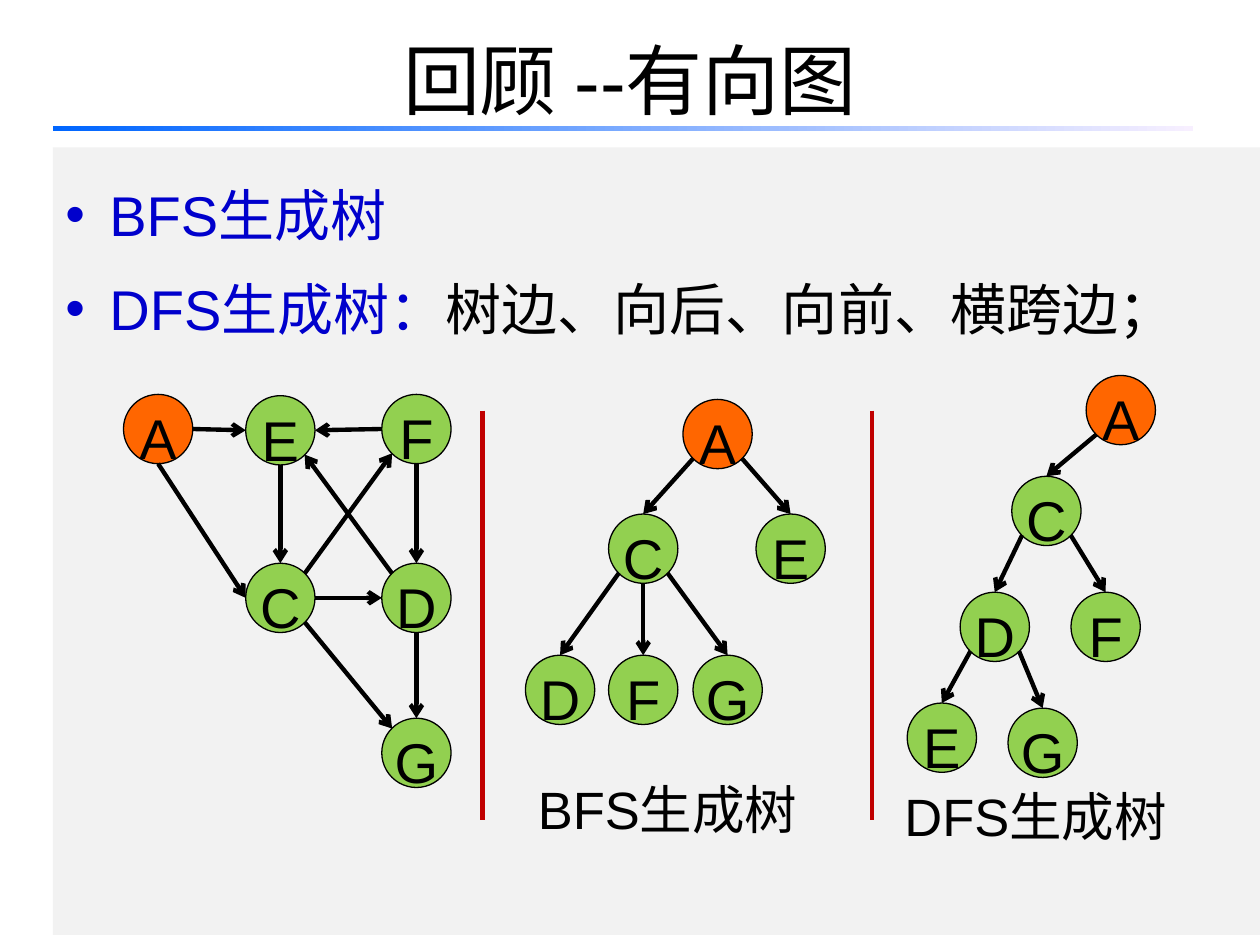
from lxml import etree
from pptx import Presentation
from pptx.dml.color import RGBColor
from pptx.enum.shapes import MSO_CONNECTOR, MSO_SHAPE
from pptx.enum.text import MSO_ANCHOR, PP_ALIGN
from pptx.oxml.ns import qn
from pptx.util import Inches, Pt

LINE = MSO_CONNECTOR.STRAIGHT
OVAL, RECT = MSO_SHAPE.OVAL, MSO_SHAPE.RECTANGLE
LEFT, CENTER = PP_ALIGN.LEFT, PP_ALIGN.CENTER
TOP, MIDDLE = MSO_ANCHOR.TOP, MSO_ANCHOR.MIDDLE

FONT = "Arial"
BLACK, BLUE, RED = "000000", "0000CC", "C00000"
GREEN, ORANGE, GRAY = "92D050", "FF6600", "F2F2F2"
NODE = 0.55

# Points on a node's rim, as fractions of its size
SITES = {"top": (0.5, 0), "left": (0, 0.5), "bottom": (0.5, 1), "right": (1, 0.5),
         "tl": (0.15, 0.15), "tr": (0.85, 0.15), "bl": (0.15, 0.85), "br": (0.85, 0.85)}

# Each graph: node positions, then edges as (from, site, to, site)
GRAPHS = [
    ({"A": (0.98, 3.13), "E": (1.95, 3.14), "F": (3.03, 3.13),
      "C": (1.95, 4.47), "D": (3.03, 4.47), "G": (3.03, 5.7)},
     [("A", "right", "E", "left"), ("A", "bottom", "C", "left"),
      ("F", "left", "E", "right"), ("F", "bottom", "D", "top"),
      ("E", "bottom", "C", "top"), ("C", "right", "D", "left"),
      ("C", "tr", "F", "bl"), ("D", "tl", "E", "br"),
      ("C", "br", "G", "tl"), ("D", "bottom", "G", "top")]),
    ({"A": (5.42, 3.17), "C": (4.83, 4.08), "E": (6, 4.08),
      "D": (4.17, 5.2), "F": (4.83, 5.2), "G": (5.5, 5.2)},
     [("A", "bl", "C", "top"), ("A", "br", "E", "top"), ("C", "bl", "D", "top"),
      ("C", "bottom", "F", "top"), ("C", "br", "G", "top")]),
    ({"A": (8.62, 2.98), "C": (8.03, 3.78), "D": (7.62, 4.7),
      "F": (8.5, 4.7), "E": (7.2, 5.58), "G": (8, 5.62)},
     [("A", "bl", "C", "top"), ("C", "bl", "D", "top"), ("C", "br", "F", "top"),
      ("D", "bl", "E", "top"), ("D", "br", "G", "top")]),
]


def rgb(color):
    return RGBColor.from_string(color)


def set_attrs(obj, values):
    for name, value in values.items():
        setattr(obj, name, value)


def add_run(p, text, size, color=BLACK):
    r = p.add_run()
    r.text = text
    set_attrs(r.font, {"name": FONT, "size": Pt(size)})
    r.font.color.rgb = rgb(color)


def add_shape(s, kind, x, y, w, h, fill=None):
    sp = s.shapes.add_shape(kind, Inches(x), Inches(y), Inches(w), Inches(h))
    sp.shadow.inherit = False
    sp.line.fill.background()
    if fill:
        sp.fill.solid()
        sp.fill.fore_color.rgb = rgb(fill)
    return sp


def add_title(s, text):
    sp = s.shapes.title
    set_attrs(sp, {"left": Inches(0.5), "top": 0, "width": Inches(9), "height": Inches(1.25)})
    sp.text_frame.vertical_anchor = MIDDLE
    p = sp.text_frame.paragraphs[0]
    p.alignment = CENTER
    add_run(p, text, 44)


def add_rule(s):
    sp = add_shape(s, RECT, 0.42, 1, 9.05, 0.04)
    sp.fill.gradient()
    sp.fill.gradient_angle = 0
    for stop, color in zip(sp.fill.gradient_stops, ("0066FF", "F7EFFF")):
        stop.color.rgb = rgb(color)


def add_bullet(p):
    pPr = p._p.get_or_add_pPr()
    pPr.set("marL", str(Inches(0.35)))
    pPr.set("indent", str(-Inches(0.35)))
    for tag, name, value in (("a:buFont", "typeface", FONT), ("a:buChar", "char", "•")):
        etree.SubElement(pPr, qn(tag)).set(name, value)


def add_panel(s, items):
    tf = add_shape(s, RECT, 0.42, 1.17, 9.58, 6.25, GRAY).text_frame
    set_attrs(tf, {"word_wrap": True, "vertical_anchor": TOP})
    for i, runs in enumerate(items):
        p = tf.add_paragraph() if i else tf.paragraphs[0]
        add_bullet(p)
        set_attrs(p, {"alignment": LEFT, "line_spacing": 1.4})
        for text, color in runs:
            add_run(p, text, 32, color)


def add_caption(s, text, x, y, w):
    tf = s.shapes.add_textbox(Inches(x), Inches(y), Inches(w), Inches(0.67)).text_frame
    tf.word_wrap = True
    add_run(tf.paragraphs[0], text, 30)


def add_line(s, start, end, color, arrow=False):
    c = s.shapes.add_connector(LINE, *(Inches(v) for v in (*start, *end)))
    c.line.color.rgb = rgb(color)
    c.line.width = Pt(2.5)
    if arrow:
        etree.SubElement(c.line._get_or_add_ln(), qn("a:tailEnd")).set("type", "arrow")
    etree.SubElement(c._element.spPr, qn("a:effectLst"))


def add_node(s, label, x, y):
    sp = add_shape(s, OVAL, x, y, NODE, NODE, ORANGE if label == "A" else GREEN)
    sp.line.color.rgb = rgb(BLACK)
    sp.line.width = Pt(0.75)
    set_attrs(sp.text_frame, {"word_wrap": False, "vertical_anchor": MIDDLE})
    p = sp.text_frame.paragraphs[0]
    set_attrs(p, {"alignment": CENTER, "line_spacing": 1.25})
    add_run(p, label, 32)


def rim_point(node, site):
    return [pos + NODE * part for pos, part in zip(node, SITES[site])]


def add_graph(s, nodes, edges):
    for label, (x, y) in nodes.items():
        add_node(s, label, x, y)
    for tail, tail_site, head, head_site in edges:
        add_line(s, rim_point(nodes[tail], tail_site),
                 rim_point(nodes[head], head_site), BLACK, arrow=True)


def main():
    prs = Presentation()
    set_attrs(prs, {"slide_width": Inches(10), "slide_height": Inches(7.5)})
    s = prs.slides.add_slide(prs.slide_layouts[5])

    # Heading and background panel
    add_title(s, "回顾 --有向图")
    add_rule(s)
    add_panel(s, [[("BFS生成树", BLUE)],
                  [("DFS生成树：", BLUE), ("树边、向后、向前、横跨边；", BLACK)]])

    # Dividers and captions
    for x in (3.83, 6.92):
        add_line(s, (x, 3.26), (x, 6.51), RED)
    add_caption(s, "BFS生成树", 4.17, 6.12, 2.42)
    add_caption(s, "DFS生成树", 7.08, 6.17, 2.92)

    # Directed graph and its two spanning trees
    for nodes, edges in GRAPHS:
        add_graph(s, nodes, edges)

    prs.save("out.pptx")


if __name__ == "__main__":
    main()
